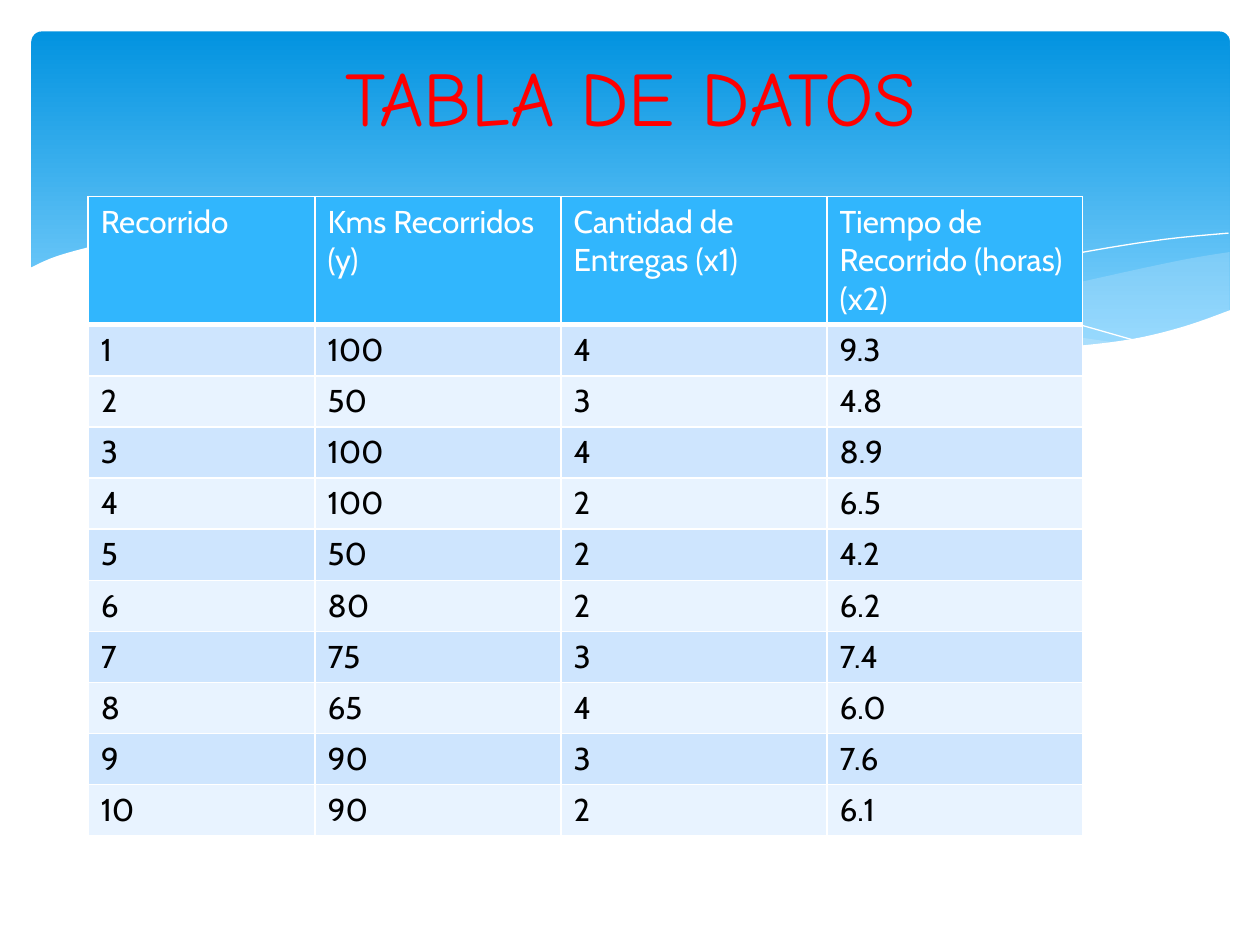
from lxml.etree import SubElement
from pptx import Presentation
from pptx.dml.color import RGBColor
from pptx.enum.shapes import MSO_SHAPE as Shape
from pptx.enum.text import MSO_ANCHOR as Anchor, PP_ALIGN as Align
from pptx.oxml.ns import qn
from pptx.util import Pt

WHITE = RGBColor(0xFF, 0xFF, 0xFF)
BLACK = RGBColor(0x00, 0x00, 0x00)
RED = RGBColor(0xFF, 0x00, 0x00)
SKY_TOP = RGBColor(0x02, 0x93, 0xE0)
SKY_BOTTOM = RGBColor(0x83, 0xD3, 0xFE)
WAVE_BLUE = RGBColor(0xC6, 0xE7, 0xFC)
HEADER_BLUE = RGBColor(0x31, 0xB6, 0xFD)
BAND_COLORS = (RGBColor(0xCE, 0xE5, 0xFE), RGBColor(0xE8, 0xF3, 0xFF))

# Key points of the wave edges, in points
BACK_WAVE_TOP = [(702.7, 144), (673.2, 149), (619.9, 160.6), (560.9, 174.2),
                 (508.3, 185), (475.9, 190.8)]
BACK_WAVE_BOTTOM = [(475.9, 190.8), (507.6, 195.1), (545, 198.7), (586.1, 200.2),
                    (621.4, 198), (651.6, 193.7), (678.2, 186.5), (702.7, 177.8)]
FRONT_WAVE_TOP = [(643, 196.6), (581, 187.2), (533.5, 177.8), (452.9, 159.8),
                  (399.6, 147.6), (352.1, 139.7), (302.4, 134.6), (259.9, 133.2),
                  (205.9, 137.5)]
FRONT_WAVE_BOTTOM = [(205.9, 137.5), (246.2, 143.3), (290.9, 151.9), (353.5, 167),
                     (420.5, 181.4), (478.8, 191.5), (529.9, 198), (581, 200.2),
                     (643, 196.6)]
LONG_CURVE = [(222.5, 140.4), (254.2, 136.1), (288.7, 134.6), (337.7, 136.1),
              (383.8, 139.7), (437.8, 146.9), (500.4, 157.7), (572.4, 173.5),
              (653, 195.8)]
SHORT_CURVE = [(441.4, 185), (500.4, 169.2), (558.7, 155.5), (623.5, 143.3),
               (665.3, 136.8), (702, 133.2)]
WHITE_EDGE = [(703.4, 177.1), (676.8, 186.5), (647.3, 193.7), (612, 198),
              (582.5, 199.4), (535.7, 197.3), (481, 190.8), (416.9, 180),
              (362.2, 167.8), (321.8, 158.4), (262.8, 145.4), (210.2, 136.8),
              (165.6, 133.2), (127.4, 132.5), (95, 133.9), (61.2, 139),
              (33.1, 146.2), (16.6, 153.4)]
WHITE_BASE = [(16.6, 236.9), (703.4, 236.9)]

HEADERS = ("Recorrido", "Kms Recorridos (y)", "Cantidad de Entregas (x1)",
           "Tiempo de Recorrido (horas) (x2)")
TRIPS = [
    (100, 4, 9.3), (50, 3, 4.8), (100, 4, 8.9), (100, 2, 6.5), (50, 2, 4.2),
    (80, 2, 6.2), (75, 3, 7.4), (65, 4, 6.0), (90, 3, 7.6), (90, 2, 6.1),
]
COLUMN_WIDTHS = (129.6, 140.6, 152, 146)
HEADER_HEIGHT, ROW_HEIGHT = 73.2, 29.2


def smooth(points, steps=5):
    """Return a Catmull-Rom curve through the points."""
    padded = [points[0], *points, points[-1]]
    curve = [points[0]]
    for a, b, c, d in zip(padded, padded[1:], padded[2:], padded[3:]):
        for step in range(1, steps + 1):
            t = step / steps
            curve.append(tuple(
                (2 * q + (r - p) * t + (2 * p - 5 * q + 4 * r - s) * t ** 2
                 + (3 * q - p - 3 * r + s) * t ** 3) / 2
                for p, q, r, s in zip(a, b, c, d)))
    return curve


def add_outline(slide, points, closed):
    vertices = [(Pt(x), Pt(y)) for x, y in points]
    builder = slide.shapes.build_freeform(*vertices[0], scale=1.0)
    builder.add_line_segments(vertices[1:], close=closed)
    shape = builder.convert_to_shape()
    shape.shadow.inherit = False
    return shape


def add_area(slide, points, color, opacity=100):
    shape = add_outline(slide, points, closed=True)
    shape.fill.solid()
    shape.fill.fore_color.rgb = color
    shape.line.fill.background()
    if opacity < 100:
        color_element = shape.fill._xPr.find(qn("a:solidFill"))[0]
        SubElement(color_element, qn("a:alpha"), val=str(opacity * 1000))


def add_curve(slide, points):
    shape = add_outline(slide, smooth(points), closed=False)
    shape.fill.background()
    shape.line.color.rgb = WHITE
    shape.line.width = Pt(0)


def add_sky(slide):
    shape = slide.shapes.add_shape(Shape.ROUNDED_RECTANGLE,
                                   Pt(18), Pt(18), Pt(684.7), Pt(194.4))
    shape.adjustments[0] = 0.03
    shape.shadow.inherit = False
    shape.line.fill.background()
    shape.fill.gradient()
    shape.fill.gradient_angle = 270
    stops = zip(shape.fill.gradient_stops, (0, 0.9), (SKY_TOP, SKY_BOTTOM))
    for stop, position, color in stops:
        stop.position = position
        stop.color.rgb = color


def write_text(frame, text, *, size, font, color, align=Align.LEFT):
    paragraph = frame.paragraphs[0]
    paragraph.alignment = align
    run = paragraph.add_run()
    run.text = text
    run.font.size = Pt(size)
    run.font.name = font
    run.font.bold = False
    run.font.color.rgb = color


def set_borders(cell, bottom):
    properties = cell._tc.get_or_add_tcPr()
    for side, width in (("L", 1), ("R", 1), ("T", 1), ("B", bottom)):
        line = SubElement(properties, qn(f"a:ln{side}"), w=str(Pt(width)))
        fill = SubElement(line, qn("a:solidFill"))
        SubElement(fill, qn("a:srgbClr"), val=str(WHITE))


def add_data_table(slide):
    rows = [HEADERS] + [(number, *trip) for number, trip in enumerate(TRIPS, 1)]
    height = HEADER_HEIGHT + ROW_HEIGHT * len(TRIPS)
    table = slide.shapes.add_table(
        len(rows), len(HEADERS), Pt(50.4), Pt(112.4),
        Pt(sum(COLUMN_WIDTHS)), Pt(height)).table
    for column, width in zip(table.columns, COLUMN_WIDTHS):
        column.width = Pt(width)
    for index, values in enumerate(rows):
        is_header = index == 0
        table.rows[index].height = Pt(HEADER_HEIGHT if is_header else ROW_HEIGHT)
        for cell, value in zip(table.rows[index].cells, values):
            set_borders(cell, bottom=3 if is_header else 1)
            cell.fill.solid()
            cell.fill.fore_color.rgb = (
                HEADER_BLUE if is_header else BAND_COLORS[(index - 1) % 2])
            write_text(cell.text_frame, str(value), size=18, font="Cabin",
                       color=WHITE if is_header else BLACK)


def place_title(slide, text):
    title = slide.shapes.title
    title.left, title.top, title.width, title.height = (
        Pt(36.7), Pt(20.9), Pt(648), Pt(67.7))
    title.text_frame.vertical_anchor = Anchor.MIDDLE
    write_text(title.text_frame, text, size=44, font="Comic Neue", color=RED,
               align=Align.CENTER)
    # Bring the title in front of the background
    slide.shapes._spTree.append(title._element)


def main():
    presentation = Presentation()
    presentation.slide_width, presentation.slide_height = Pt(720), Pt(540)
    slide = presentation.slides.add_slide(presentation.slide_layouts[5])

    # Background: sky, translucent waves, thin curves and white lower edge
    add_sky(slide)
    add_area(slide, smooth(BACK_WAVE_TOP) + smooth(BACK_WAVE_BOTTOM), WAVE_BLUE, 29)
    add_area(slide, smooth(FRONT_WAVE_TOP) + smooth(FRONT_WAVE_BOTTOM), WAVE_BLUE, 40)
    for curve in (LONG_CURVE, SHORT_CURVE):
        add_curve(slide, curve)
    add_area(slide, smooth(WHITE_EDGE) + WHITE_BASE, WHITE)

    # Content
    add_data_table(slide)
    place_title(slide, "TABLA DE DATOS")
    presentation.save("out.pptx")


if __name__ == "__main__":
    main()
